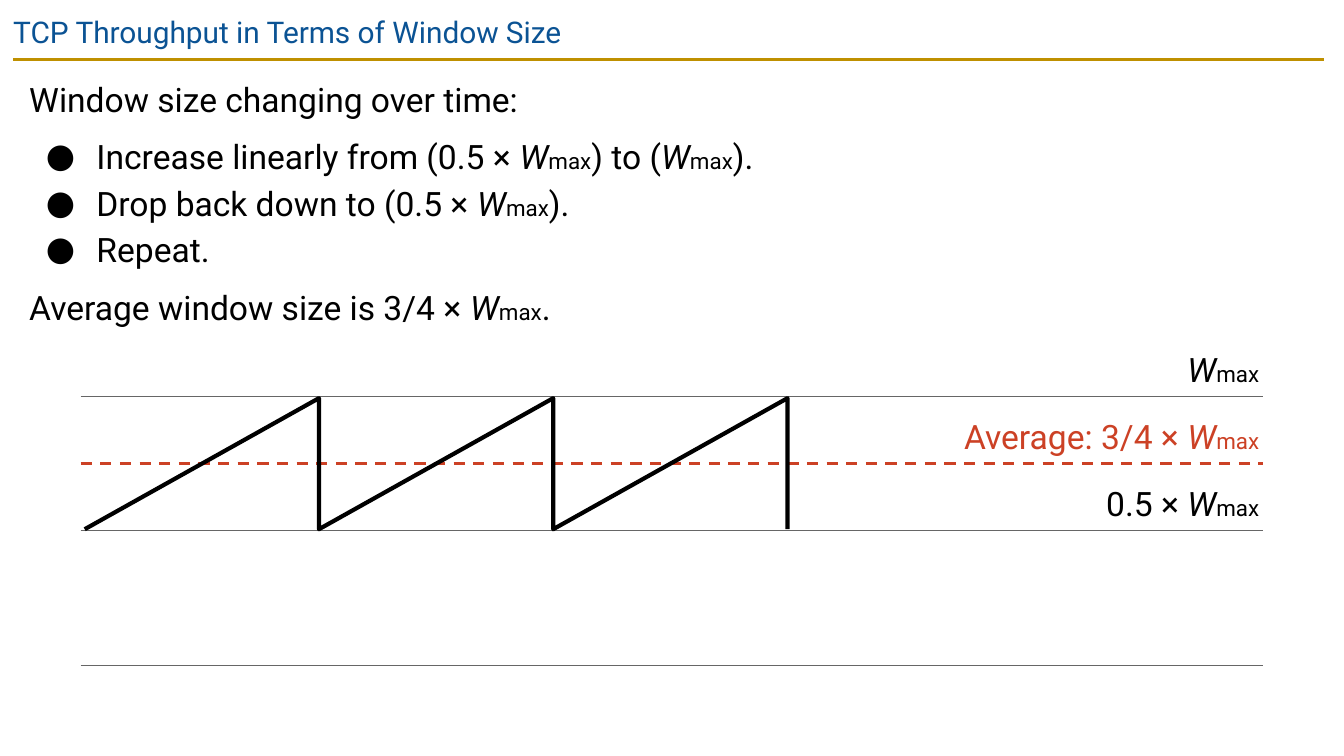
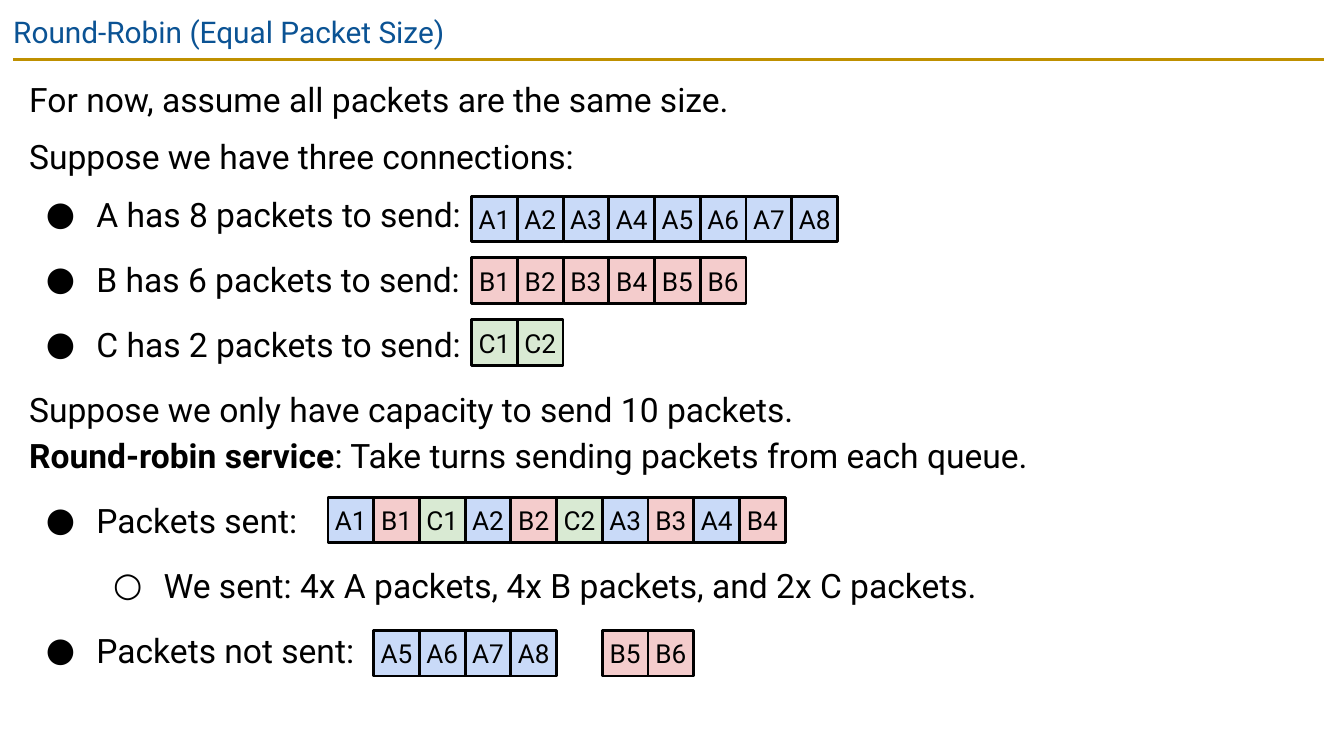
from lxml.etree import SubElement
from pptx import Presentation
from pptx.dml.color import RGBColor
from pptx.enum.dml import MSO_LINE
from pptx.enum.shapes import MSO_CONNECTOR, MSO_SHAPE
from pptx.enum.text import MSO_ANCHOR, PP_ALIGN
from pptx.oxml.ns import qn
from pptx.util import Pt

FONT = "Roboto"
BLACK, GREY, RED = "000000", "666666", "CC4125"
BLUE, GOLD = "0B5394", "BF9000"
QUEUES = {"A": "C9DAF8", "B": "F4CCCC", "C": "D9EAD3"}
MARKS = "●○"
SIDE = 24.5  # packet width and height
WMAX = [("W", "italic"), ("max", "small")]


def color(code):
    return RGBColor.from_string(code)


class Deck:
    def __init__(self):
        self.prs = Presentation()
        self.prs.slide_width, self.prs.slide_height = Pt(720), Pt(405)

    def page(self, title):
        """Start a slide with the shared title and rule."""
        self.slide = self.prs.slides.add_slide(self.prs.slide_layouts[6])
        self.line(7.2, 709.2, 31.7, GOLD, 1.5)
        frame = self.box(0, 0, 671, 31, 7.2)
        self.fill(frame.paragraphs[0], [title], BLUE, 16)

    def box(self, left, top, width, height, inset):
        frame = self.slide.shapes.add_textbox(
            Pt(left), Pt(top), Pt(width), Pt(height)).text_frame
        frame.word_wrap = True
        self.pad(frame, inset)
        return frame

    def pad(self, frame, inset):
        frame.margin_left = frame.margin_right = Pt(inset)
        frame.margin_top = frame.margin_bottom = Pt(inset)

    def fill(self, para, parts, code=BLACK, size=18):
        """Fill a paragraph from strings and (text, style) pairs."""
        for part in parts:
            text, style = (part, "") if isinstance(part, str) else part
            run = para.add_run()
            run.text = text
            run.font.name = FONT
            run.font.size = Pt(12 if style == "small" else size)
            run.font.color.rgb = color(code)
            run.font.italic = style == "italic"
            run.font.bold = style == "bold"

    def bullet(self, para, level):
        para.level = level
        props = para._p.get_or_add_pPr()
        props.set("marL", str(Pt(36 * (level + 1))))
        props.set("indent", str(-Pt(27)))
        tint = SubElement(props, qn("a:buClr"))
        SubElement(tint, qn("a:srgbClr"), val=BLACK)
        SubElement(props, qn("a:buFont"), typeface=FONT)
        SubElement(props, qn("a:buChar"), char=MARKS[level])

    def body(self, height, rows):
        """Rows are (bullet level or None, space before, parts)."""
        frame = self.box(8.6, 31.7, 701.3, height, 7.2)
        for i, (level, space, parts) in enumerate(rows):
            para = frame.add_paragraph() if i else frame.paragraphs[0]
            if level is not None:
                self.bullet(para, level)
            para.line_spacing = 1.15
            para.space_before = Pt(space)
            self.fill(para, parts)

    def label(self, right, base, width, parts, code=BLACK):
        """Right-aligned text resting on a line."""
        frame = self.box(right - width, base - 31, width, 31, 2.2)
        para = frame.paragraphs[0]
        para.alignment = PP_ALIGN.RIGHT
        para.line_spacing = 1.15
        self.fill(para, parts, code)

    def line(self, left, right, y, code, width, dash=None):
        rule = self.slide.shapes.add_connector(
            MSO_CONNECTOR.STRAIGHT, Pt(left), Pt(y), Pt(right), Pt(y))
        rule.line.color.rgb = color(code)
        rule.line.width = Pt(width)
        if dash:
            rule.line.dash_style = dash
        SubElement(rule._element.spPr, qn("a:effectLst"))

    def trace(self, points):
        first, *rest = [(Pt(x), Pt(y)) for x, y in points]
        outline = self.slide.shapes.build_freeform(*first)
        outline.add_line_segments(rest, close=False)
        shape = outline.convert_to_shape()
        shape.shadow.inherit = False
        shape.fill.background()
        shape.line.color.rgb = color(BLACK)
        shape.line.width = Pt(2.25)

    def packet(self, name, left, top):
        shape = self.slide.shapes.add_shape(
            MSO_SHAPE.RECTANGLE, Pt(left), Pt(top), Pt(SIDE), Pt(SIDE))
        shape.shadow.inherit = False
        shape.fill.solid()
        shape.fill.fore_color.rgb = color(QUEUES[name[0]])
        shape.line.color.rgb = color(BLACK)
        shape.line.width = Pt(1.5)
        frame = shape.text_frame
        frame.word_wrap = False
        frame.vertical_anchor = MSO_ANCHOR.MIDDLE
        self.pad(frame, 0)
        para = frame.paragraphs[0]
        para.alignment = PP_ALIGN.CENTER
        self.fill(para, [name], size=14)

    def queue(self, left, top, names):
        """Packets side by side; "-" leaves one place empty."""
        for i, name in enumerate(names.split()):
            if name != "-":
                self.packet(name, left + i * SIDE, top)


def window(deck):
    deck.page("TCP Throughput in Terms of Window Size")
    deck.body(161.3, [
        (None, 0, ["Window size changing over time:"]),
        (0, 6, ["Increase linearly from (0.5 × ", *WMAX, ") to (", *WMAX, ")."]),
        (0, 0, ["Drop back down to (0.5 × ", *WMAX, ")."]),
        (0, 0, ["Repeat."]),
        (None, 6, ["Average window size is 3/4 × ", *WMAX, "."]),
    ])

    # Levels of the graph
    left, right = 43.2, 676.8
    high, mid, low, floor = 212.4, 248.4, 284.4, 356.4
    for y in (high, low, floor):
        deck.line(left, right, y, GREY, 0.75)
    deck.line(left, right, mid, RED, 1.5, MSO_LINE.DASH)
    deck.label(right, high, 47.5, WMAX)
    deck.label(right, mid, 170.6, ["Average: 3/4 × ", *WMAX], RED)
    deck.label(right, low, 88.6, ["0.5 × ", *WMAX])

    # Sawtooth: three rises, each followed by a drop
    start, step, peak, dip = 45.4, 125.5, high + 0.9, low - 0.9
    points = [(start, dip)]
    for i in range(1, 4):
        x = start + i * step
        points += [(x, peak), (x, dip)]
    deck.trace(points)


def robin(deck):
    deck.page("Round-Robin (Equal Packet Size)")
    deck.body(356.4, [
        (None, 0, ["For now, assume all packets are the same size."]),
        (None, 6, ["Suppose we have three connections:"]),
        (0, 6, ["A has 8 packets to send:"]),
        (0, 10, ["B has 6 packets to send:"]),
        (0, 10, ["C has 2 packets to send:"]),
        (None, 10, ["Suppose we only have capacity to send 10 packets."]),
        (None, 0, [("Round-robin service", "bold"),
                   ": Take turns sending packets from each queue."]),
        (0, 10, ["Packets sent:"]),
        (1, 10, ["We sent: 4x A packets, 4x B packets, and 2x C packets."]),
        (0, 10, ["Packets not sent:"]),
    ])

    # Waiting packets
    for row, (name, count) in enumerate([("A", 8), ("B", 6), ("C", 2)]):
        names = " ".join(f"{name}{i}" for i in range(1, count + 1))
        deck.queue(252.7, 105.1 + row * 33.1, names)

    # Sent and unsent packets
    deck.queue(175.7, 266.4, "A1 B1 C1 A2 B2 C2 A3 B3 A4 B4")
    deck.queue(200.2, 337.7, "A5 A6 A7 A8 - B5 B6")


def main():
    deck = Deck()
    window(deck)
    robin(deck)
    deck.prs.save("out.pptx")


if __name__ == "__main__":
    main()
